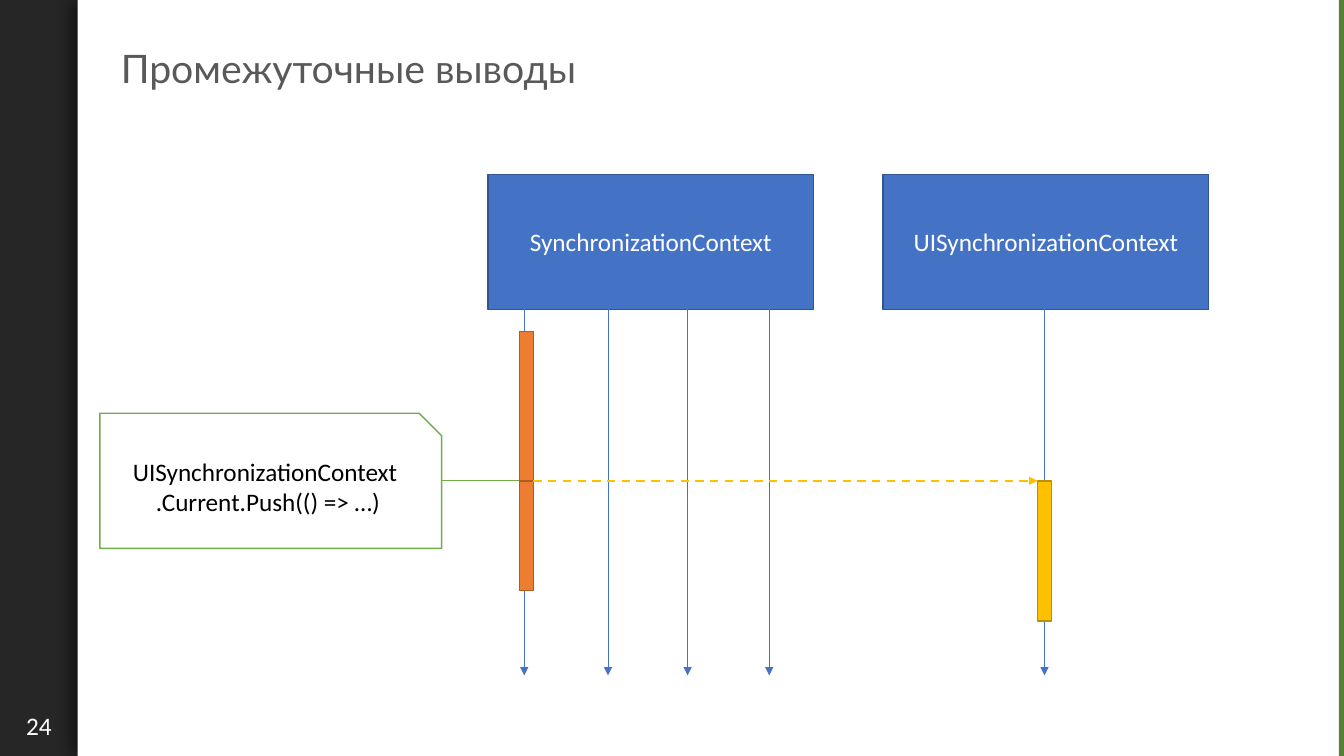
from lxml import etree
from pptx import Presentation
from pptx.dml.color import RGBColor
from pptx.enum.dml import MSO_LINE
from pptx.enum.shapes import MSO_CONNECTOR, MSO_SHAPE
from pptx.enum.text import MSO_ANCHOR, PP_ALIGN
from pptx.oxml.ns import qn
from pptx.util import Inches, Pt

RECT, SNIP = MSO_SHAPE.RECTANGLE, MSO_SHAPE.SNIP_1_RECTANGLE
STRAIGHT, DASH = MSO_CONNECTOR.STRAIGHT, MSO_LINE.DASH
MIDDLE, LEFT, CENTER = MSO_ANCHOR.MIDDLE, PP_ALIGN.LEFT, PP_ALIGN.CENTER

BLACK = RGBColor(0x00, 0x00, 0x00)
WHITE = RGBColor(0xFF, 0xFF, 0xFF)
DARK = RGBColor(0x26, 0x26, 0x26)
GRAY = RGBColor(0x59, 0x59, 0x59)
BLUE = RGBColor(0x44, 0x72, 0xC4)
NAVY = RGBColor(0x32, 0x54, 0x91)
ORANGE = RGBColor(0xED, 0x7D, 0x31)
BROWN = RGBColor(0xAF, 0x5C, 0x24)
GOLD = RGBColor(0xFF, 0xC0, 0x00)
OCHRE = RGBColor(0xBD, 0x8E, 0x00)
GREEN = RGBColor(0x70, 0xAD, 0x47)
FOREST = RGBColor(0x54, 0x82, 0x35)

WIDTH, HEIGHT = 13.33, 7.5
SIDEBAR, EDGE = 0.77, 0.05
TITLE, NUMBER = "Промежуточные выводы", "24"
CONTEXTS = [
    ("SynchronizationContext", 4.84, (5.2, 6.03, 6.82, 7.63)),
    ("UISynchronizationContext", 8.76, (10.36,)),
]
CALL = ["UISynchronizationContext", " .Current.Push(() => …)"]
BOX_TOP, BOX_W, BOX_H = 1.73, 3.23, 1.34
LIFE_TOP, LIFE_END = BOX_TOP + BOX_H, 6.7
CALL_LEFT, CALL_W, CALL_Y = 0.99, 3.39, 4.77
BAR_W, WORK_LEFT, UI_LEFT = 0.14, 5.15, 10.29
BARS = [
    (WORK_LEFT, 3.29, CALL_Y, ORANGE, BROWN),
    (WORK_LEFT, CALL_Y, 5.86, ORANGE, BROWN),
    (UI_LEFT, CALL_Y, 6.16, GOLD, OCHRE),
]

prs = Presentation()
prs.slide_width, prs.slide_height = Inches(WIDTH), Inches(HEIGHT)
slide = prs.slides.add_slide(prs.slide_layouts[6])


def write(s, lines, color, size=18, font="Calibri", align=CENTER, spacing=1.0):
    tf = s.text_frame
    tf.word_wrap, tf.vertical_anchor = True, MIDDLE
    for i, line in enumerate(lines):
        p = tf.paragraphs[0] if i == 0 else tf.add_paragraph()
        p.alignment, p.line_spacing = align, spacing
        r = p.add_run()
        r.text = line
        r.font.color.rgb = color
        for name, value in {"name": font, "size": Pt(size)}.items():
            setattr(r.font, name, value)


def add_box(area, fill, line=None, kind=RECT):
    s = slide.shapes.add_shape(kind, *map(Inches, area))
    s.shadow.inherit = False
    s.fill.solid()
    s.fill.fore_color.rgb = fill
    if line is None:
        s.line.fill.background()
    else:
        s.line.color.rgb, s.line.width = line, Pt(1)
    return s


def add_text(area, text, color, **style):
    write(slide.shapes.add_textbox(*map(Inches, area)), [text], color, **style)


def add_line(x1, y1, x2, y2, color, width=0.5, arrow=True, dash=None):
    c = slide.shapes.add_connector(STRAIGHT, *map(Inches, (x1, y1, x2, y2)))
    c.line.color.rgb, c.line.width = color, Pt(width)
    if dash:
        c.line.dash_style = dash
    props = c._element.spPr
    if arrow:
        etree.SubElement(props.find(qn("a:ln")), qn("a:tailEnd"), type="triangle")
    etree.SubElement(props, qn("a:effectLst"))


def cast_shadow(s, blur, distance, angle, opacity):
    effects = s._element.spPr.find(qn("a:effectLst"))
    shadow = etree.SubElement(effects, qn("a:outerShdw"), blurRad=str(Pt(blur)),
                              dist=str(Pt(distance)), dir=str(angle * 60000))
    color = etree.SubElement(shadow, qn("a:srgbClr"), val=str(BLACK))
    etree.SubElement(color, qn("a:alpha"), val=str(opacity * 1000))


add_box((0, 0, WIDTH, HEIGHT), DARK)
add_text((0, 7, SIDEBAR, 0.4), NUMBER, WHITE)
panel = add_box((SIDEBAR, 0, WIDTH - SIDEBAR, HEIGHT), WHITE)
cast_shadow(panel, blur=9, distance=5, angle=180, opacity=40)
add_box((WIDTH - EDGE, 0, EDGE, HEIGHT), FOREST)
add_text((1.1, 0.43, 11.64, 0.54), TITLE, GRAY, size=28, font="Lato", align=LEFT, spacing=0.9)

for name, left, threads in CONTEXTS:
    write(add_box((left, BOX_TOP, BOX_W, BOX_H), BLUE, NAVY), [name], WHITE)
    for x in threads:
        add_line(x, LIFE_TOP, x, LIFE_END, BLUE)

call = add_box((CALL_LEFT, CALL_Y - BOX_H / 2, CALL_W, BOX_H), WHITE, GREEN, SNIP)
write(call, CALL, BLACK)
add_line(CALL_LEFT + CALL_W, CALL_Y, WORK_LEFT, CALL_Y, GREEN, arrow=False)
for left, top, bottom, fill, line in BARS:
    add_box((left, top, BAR_W, bottom - top), fill, line)
add_line(WORK_LEFT + BAR_W, CALL_Y, UI_LEFT, CALL_Y, GOLD, width=1.5, dash=DASH)

prs.save("out.pptx")
